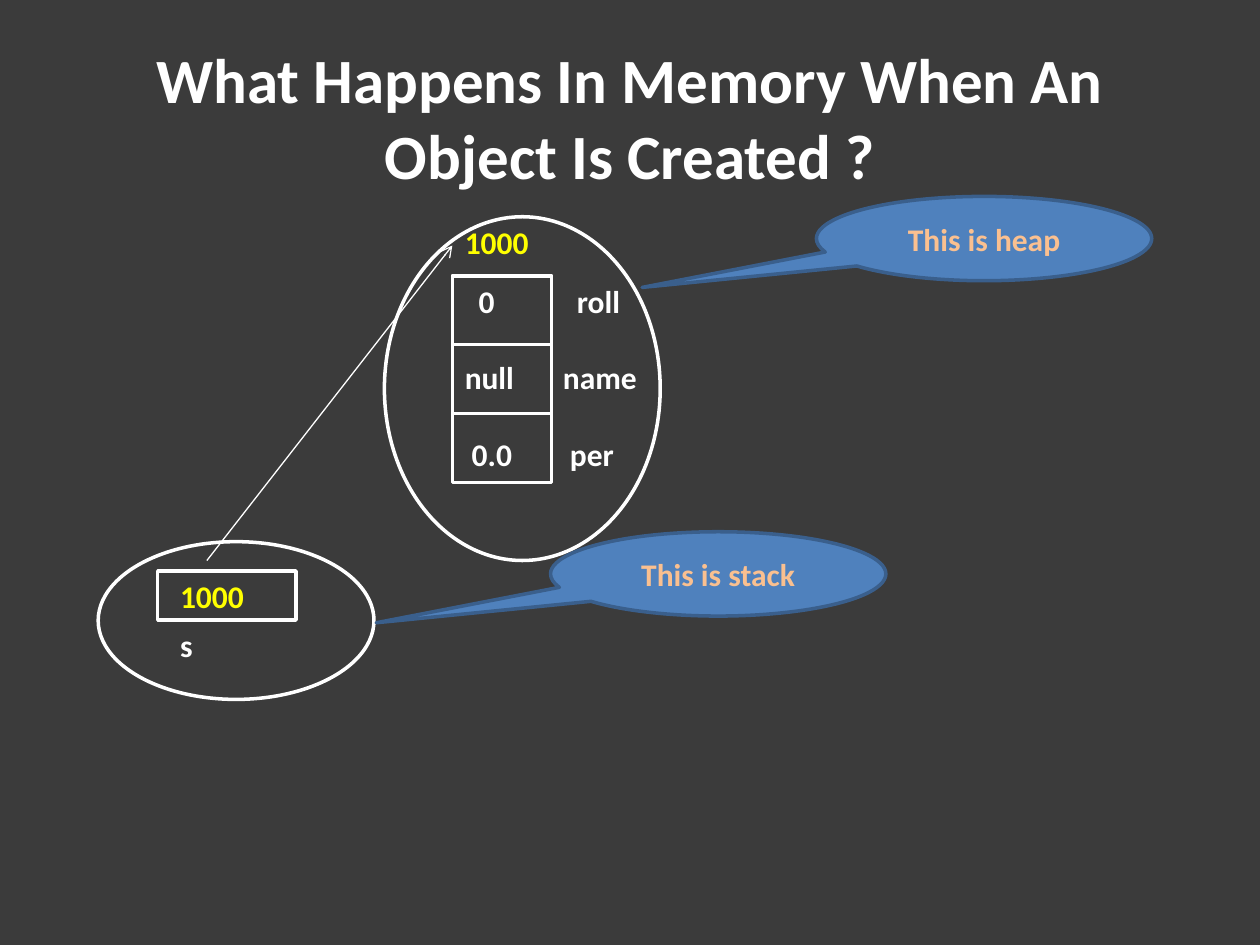
from lxml.etree import SubElement
from pptx import Presentation
from pptx.dml.color import RGBColor
from pptx.enum.shapes import MSO_CONNECTOR, MSO_SHAPE
from pptx.enum.text import MSO_ANCHOR, MSO_AUTO_SIZE, PP_ALIGN
from pptx.oxml.ns import qn
from pptx.util import Cm, Pt

TITLE = "What Happens In Memory When An Object Is Created ?"
HUES = {"back": "3B3B3B", "white": "FFFFFF", "yellow": "FFFF00",
        "blue": "4F81BD", "edge": "3A5F8C", "peach": "FAC090"}
STEP = 0.14
CELL = (9.12, 5.56, 2, 1.39)
NAMES = [("roll", 2), ("name", 0), ("per", 1)]
VALUES = [("0", 2), ("null", 0), ("0.0", 1)]
LABELS = [
    ([("1000", 0)], (9.12, 4.37, 2, 1.02), "yellow"),
    (NAMES, (11.1, 5.56, 2.39, 4.11), "white"),
    ([("s", 0)], (3.38, 12.5, 1, 1.02), "white"),
    ([("1000", 0)], (3.38, 11.51, 2, 1.02), "yellow"),
    (VALUES, (9.12, 5.56, 1.8, 4.11), "white"),
]
ARROW = (4.17, 11.3, 9.12, 4.95)
SLOT = (3.18, 11.51, 2.79, 0.99)
AREAS = [
    ((7.75, 4.37, 5.56, 6.93), "This is heap", (16.46, 3.96, 6.76, 1.7)),
    ((1.98, 10.92, 5.56, 3.18), "This is stack", (11.1, 10.72, 6.76, 1.7)),
]


def tint(hue):
    return RGBColor.from_string(HUES[hue])


def style(para, hue, size=18):
    for key, val in {"name": "Calibri", "size": Pt(size), "bold": True}.items():
        setattr(para.font, key, val)
    para.font.color.rgb = tint(hue)


def label(slide, rows, box, hue):
    frame = slide.shapes.add_textbox(*map(Cm, box)).text_frame
    frame.word_wrap = True
    frame.auto_size = MSO_AUTO_SIZE.SHAPE_TO_FIT_TEXT
    for i, (text, shift) in enumerate(rows):
        para = frame.add_paragraph() if i else frame.paragraphs[0]
        para.text = text
        if i:
            para.space_before = Pt(22)
        if shift:
            para._p.get_or_add_pPr().set("marL", str(Cm(shift * STEP)))
        style(para, hue)


def outline(slide, kind, box, hue="white"):
    shape = slide.shapes.add_shape(kind, *map(Cm, box))
    shape.shadow.inherit = False
    shape.fill.background()
    shape.line.color.rgb = tint(hue)
    shape.line.width = Pt(2)
    return shape


def callout(slide, text, box):
    shape = outline(slide, MSO_SHAPE.OVAL_CALLOUT, box, "edge")
    shape.adjustments[0] = -1.02
    shape.adjustments[1] = 0.58
    shape.fill.solid()
    shape.fill.fore_color.rgb = tint("blue")
    frame = shape.text_frame
    frame.text = text
    frame.vertical_anchor = MSO_ANCHOR.MIDDLE
    para = frame.paragraphs[0]
    para.alignment = PP_ALIGN.CENTER
    style(para, "peach")


def arrow(slide, ends):
    line = slide.shapes.add_connector(MSO_CONNECTOR.STRAIGHT, *map(Cm, ends))
    line.line.color.rgb = tint("white")
    line.line.width = Pt(0.75)
    SubElement(line.line._get_or_add_ln(), qn("a:tailEnd")).set("type", "arrow")
    SubElement(line._element.spPr, qn("a:effectLst"))


def heading(slide):
    title = slide.shapes.title
    place = {"left": 1.27, "top": 0.76, "width": 22.86, "height": 3.18}
    for key, val in place.items():
        setattr(title, key, Cm(val))
    frame = title.text_frame
    frame.text = TITLE
    frame.vertical_anchor = MSO_ANCHOR.MIDDLE
    frame.paragraphs[0].alignment = PP_ALIGN.CENTER
    style(frame.paragraphs[0], "white", 36)


def main():
    deck = Presentation()
    deck.slide_width, deck.slide_height = Cm(25.4), Cm(19.05)
    slide = deck.slides.add_slide(deck.slide_layouts[5])
    slide.background.fill.solid()
    slide.background.fill.fore_color.rgb = tint("back")
    heading(slide)
    arrow(slide, ARROW)
    outline(slide, MSO_SHAPE.RECTANGLE, SLOT)
    for rows, box, hue in LABELS:
        label(slide, rows, box, hue)
    left, top, wide, high = CELL
    for i in range(len(VALUES)):
        outline(slide, MSO_SHAPE.RECTANGLE, (left, top + i * high, wide, high))
    for oval, text, box in AREAS:
        outline(slide, MSO_SHAPE.OVAL, oval)
        callout(slide, text, box)
    deck.save("out.pptx")


if __name__ == "__main__":
    main()
